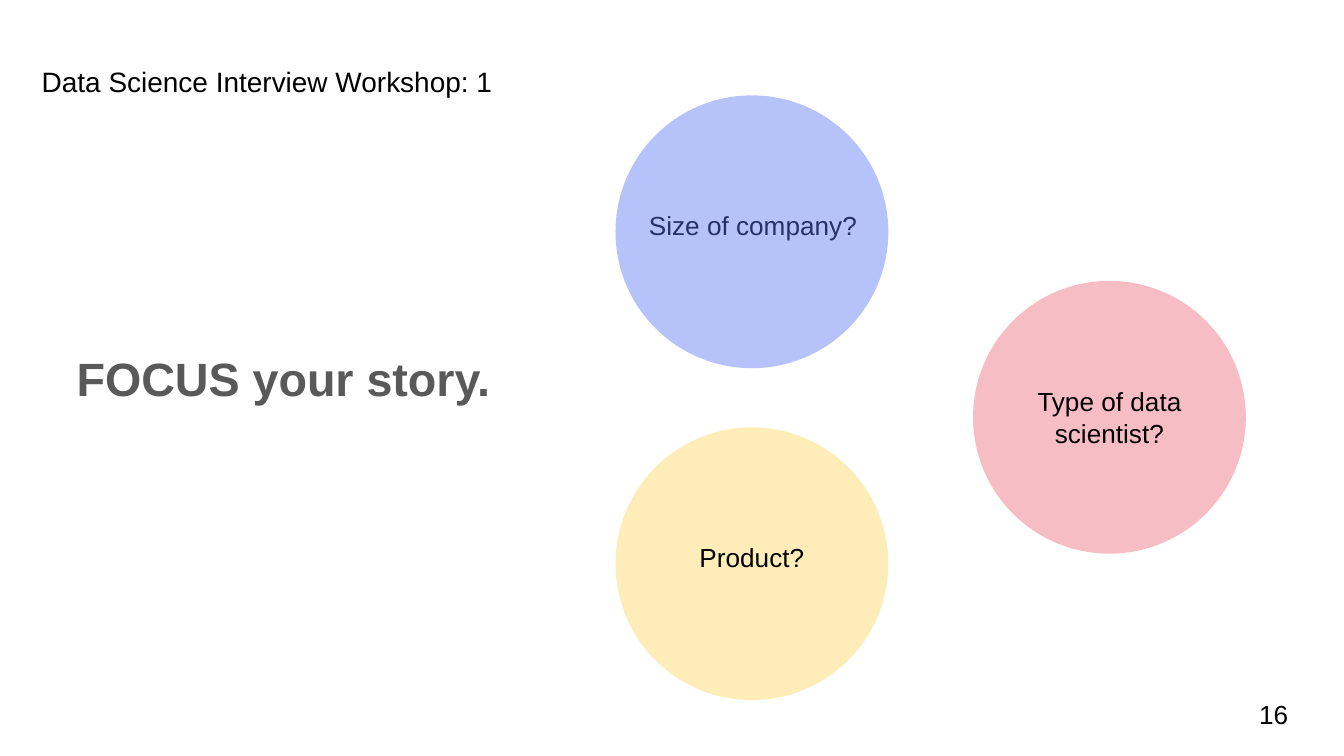
from lxml.etree import SubElement
from pptx import Presentation
from pptx.dml.color import RGBColor
from pptx.enum.shapes import MSO_SHAPE
from pptx.enum.text import MSO_ANCHOR as Anchor, PP_ALIGN as Align
from pptx.oxml.ns import qn
from pptx.util import Inches, Pt

WIDTH = 10
HEIGHT = WIDTH * 9 / 16
BLACK = RGBColor(0x00, 0x00, 0x00)
GRAY = RGBColor(0x59, 0x59, 0x59)
PINK = RGBColor(0xF7, 0xBD, 0xC5)
BLUE = RGBColor(0x58, 0x72, 0xF4)
YELLOW = RGBColor(0xFF, 0xE5, 0x99)

DIAMETER = 2.03
LABEL_HEIGHT = 0.9
LEFT_COLUMN, RIGHT_COLUMN = 4.58, 7.24


def add_text(slide, box, text, size=14, color=BLACK, bold=False,
             align=Align.LEFT, anchor=Anchor.TOP, insets=(0.1, 0.1), line_spacing=None):
    """Place one paragraph in box; insets are horizontal and vertical."""
    frame = slide.shapes.add_textbox(*map(Inches, box)).text_frame
    across, down = map(Inches, insets)
    frame_format = {
        "word_wrap": True, "vertical_anchor": anchor,
        "margin_left": across, "margin_right": across,
        "margin_top": down, "margin_bottom": down,
    }
    for name, value in frame_format.items():
        setattr(frame, name, value)
    paragraph = frame.paragraphs[0]
    paragraph.alignment = align
    paragraph.line_spacing = line_spacing
    run = paragraph.add_run()
    run.text = text
    for name, value in {"name": "Arial", "size": Pt(size), "bold": bold}.items():
        setattr(run.font, name, value)
    run.font.color.rgb = color


def add_circle(slide, left, top, color, opacity):
    """Draw a borderless circle; opacity is a percentage."""
    shape = slide.shapes.add_shape(
        MSO_SHAPE.OVAL, *map(Inches, (left, top, DIAMETER, DIAMETER)))
    shape.shadow.inherit = False
    shape.line.fill.background()
    shape.fill.solid()
    shape.fill.fore_color.rgb = color
    if opacity < 100:
        color_element = shape._element.spPr.find(qn("a:solidFill")).find(qn("a:srgbClr"))
        SubElement(color_element, qn("a:alpha"), val=str(opacity * 1000))


def add_question(slide, left, top, text, color, opacity=100, label_offset=(0, 0.75),
                 align=Align.CENTER, label_behind=False):
    """Draw a circle and its label, with the label optionally under the tint."""
    across, down = label_offset
    label_box = (left + across, top + down, DIAMETER, LABEL_HEIGHT)
    if label_behind:
        add_text(slide, label_box, text, align=align)
    add_circle(slide, left, top, color, opacity)
    if not label_behind:
        add_text(slide, label_box, text, align=align)


def add_header(slide, box):
    add_text(slide, box, "Data Science Interview Workshop: 1", size=15, insets=(0.04, 0.02))


def add_message(slide, box):
    add_text(slide, box, "FOCUS your story.", size=25, color=GRAY, bold=True,
             insets=(0.23, 0.1), line_spacing=1.15)


def add_page_number(slide, box):
    add_text(slide, box, "16", anchor=Anchor.MIDDLE)


def main():
    presentation = Presentation()
    presentation.slide_width, presentation.slide_height = Inches(WIDTH), Inches(HEIGHT)
    slide = presentation.slides.add_slide(presentation.slide_layouts[6])

    add_header(slide, (0.27, 0.46, 3.52, 0.29))
    add_page_number(slide, (9.27, 5.1, 0.6, 0.43))
    add_message(slide, (0.34, 2.44, 9.32, 0.74))
    add_question(slide, RIGHT_COLUMN, 2.09, "Type of data scientist?", PINK,
                 label_offset=(0, 0.68))
    add_question(slide, LEFT_COLUMN, 0.71, "Size of company?", BLUE, opacity=43,
                 label_offset=(0.15, 0.75), align=Align.LEFT, label_behind=True)
    add_question(slide, LEFT_COLUMN, 3.18, "Product?", YELLOW, opacity=68)

    presentation.save("out.pptx")


if __name__ == "__main__":
    main()
